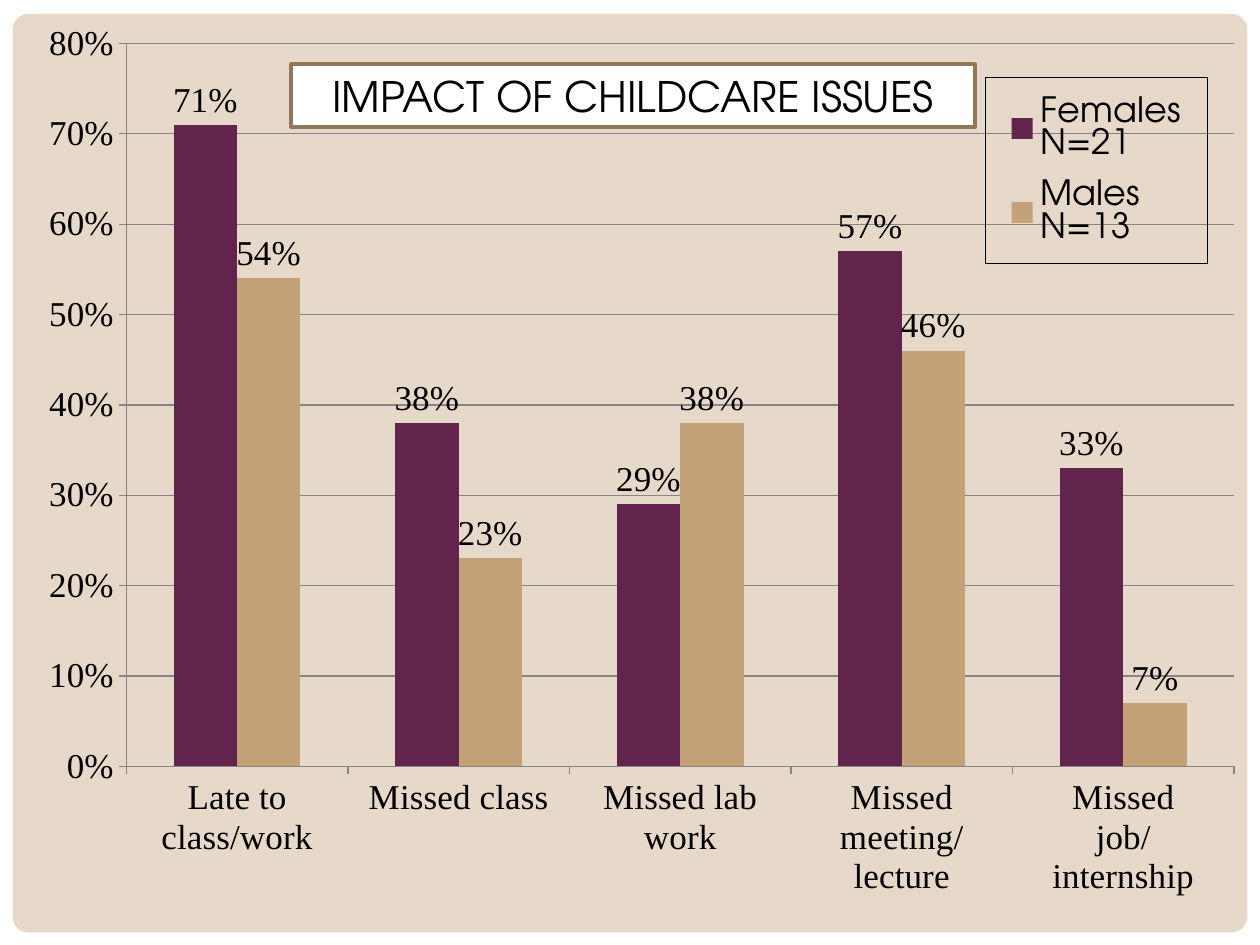
from lxml import etree
from pptx import Presentation
from pptx import util as u
from pptx.chart.data import CategoryChartData
from pptx.dml.color import RGBColor
from pptx.enum import chart as ch, shapes, text
from pptx.oxml import parse_xml
from pptx.oxml.ns import nsdecls, qn

# Content
TITLE = "IMPACT OF CHILDCARE ISSUES"
CATEGORIES = ["Late to class/work", "Missed class", "Missed lab work",
              "Missed meeting/lecture", "Missed job/internship"]
SERIES = [
    ("Females N=21", "62234D", [0.71, 0.38, 0.29, 0.57, 0.33]),
    ("Males N=13", "C3A27A", [0.54, 0.23, 0.38, 0.46, 0.07]),
]
SANS, SERIF = "TeX Gyre Adventor", "Times New Roman"
# Fractions of the chart: left, top, width, height
PLOT_AREA = (0.077, 0.016, 0.923, 0.814)
LEGEND_AREA = (0.793, 0.054, 0.185, 0.21)


def color(value):
    return RGBColor.from_string(value)


def style_font(font, name, size, value="000000"):
    font.name, font.size = name, u.Pt(size)
    font.color.rgb = color(value)


def add_box(page, kind, area, fill):
    box = page.shapes.add_shape(kind, *map(u.Inches, area))
    box.shadow.inherit = False
    box.fill.solid()
    box.fill.fore_color.rgb = color(fill)
    return box


def layout_xml(area, inner=False):
    target = '<c:layoutTarget val="inner"/>' if inner else ""
    modes = '<c:xMode val="edge"/><c:yMode val="edge"/>'
    sizes = "".join(f'<c:{tag} val="{part}"/>' for tag, part in zip("xywh", area))
    return parse_xml(f'<c:layout {nsdecls("c")}><c:manualLayout>{target}{modes}'
                     f'{sizes}</c:manualLayout></c:layout>')


def style_axis(axis):
    style_font(axis.tick_labels.font, SERIF, 20)
    axis.major_tick_mark = ch.XL_TICK_MARK.OUTSIDE
    axis.minor_tick_mark = ch.XL_TICK_MARK.NONE
    axis.format.line.color.rgb = color("868686")
    axis.format.line.width = u.Pt(0.75)


deck = Presentation()
deck.slide_width, deck.slide_height = u.Inches(10), u.Inches(7.5)
page = deck.slides.add_slide(deck.slide_layouts[6])

# Rounded backdrop, 40% opaque
panel = add_box(page, shapes.MSO_SHAPE.ROUNDED_RECTANGLE, (0.1, 0.11, 9.8, 7.29), "C3A27A")
panel.adjustments[0] = 0.017
panel.line.fill.background()
tint = panel.fill._xPr.find(qn("a:solidFill"))[0]
etree.SubElement(tint, qn("a:alpha")).set("val", "40000")

# Column chart
data = CategoryChartData(number_format="0%")
data.categories = CATEGORIES
for name, _, values in SERIES:
    data.add_series(name, values)
chart = page.shapes.add_chart(ch.XL_CHART_TYPE.COLUMN_CLUSTERED,
                              *map(u.Inches, (0.27, 0.19, 9.53, 7.09)), data).chart
chart.has_title = False
style_font(chart.font, SANS, 10)
plot = chart.plots[0]
plot.gap_width, plot.overlap, plot.vary_by_categories = 150, 0, False
for series, (_, fill, _) in zip(plot.series, SERIES):
    series.format.fill.solid()
    series.format.fill.fore_color.rgb = color(fill)
    labels = series.data_labels
    labels.show_value = True
    labels.number_format, labels.number_format_is_linked = "0%", False
    labels.position = ch.XL_LABEL_POSITION.OUTSIDE_END
    style_font(labels.font, SERIF, 20)

# Axes
style_axis(chart.category_axis)
scale = chart.value_axis
style_axis(scale)
scale.minimum_scale, scale.maximum_scale, scale.major_unit = 0, 0.8, 0.1
scale.tick_labels.number_format = "0%"
scale.tick_labels.number_format_is_linked = False
scale.has_major_gridlines = True
scale.major_gridlines.format.line.color.rgb = color("868686")
scale.major_gridlines.format.line.width = u.Pt(0.75)

# Plot position
plot_area = chart._chartSpace.find(".//" + qn("c:plotArea"))
for old in plot_area.findall(qn("c:layout")):
    plot_area.remove(old)
plot_area.insert(0, layout_xml(PLOT_AREA, inner=True))

# Legend, outlined and laid over the plot
chart.has_legend = True
legend = chart.legend
legend.position = ch.XL_LEGEND_POSITION.RIGHT
legend.include_in_layout = True
style_font(legend.font, SANS, 20)
element = legend._element
for old in element.findall(qn("c:layout")):
    element.remove(old)
element.find(qn("c:legendPos")).addnext(layout_xml(LEGEND_AREA))
element.find(qn("c:overlay")).addnext(parse_xml(
    f'<c:spPr {nsdecls("c", "a")}><a:noFill/><a:ln w="9525"><a:solidFill>'
    '<a:srgbClr val="000000"/></a:solidFill></a:ln></c:spPr>'))

# Title box
title = add_box(page, shapes.MSO_SHAPE.RECTANGLE, (2.31, 0.51, 5.43, 0.5), "FFFFFF")
title.line.color.rgb = color("90785A")
title.line.width = u.Pt(2)
frame = title.text_frame
frame.word_wrap = True
frame.auto_size = text.MSO_AUTO_SIZE.SHAPE_TO_FIT_TEXT
para = frame.paragraphs[0]
para.alignment = text.PP_ALIGN.CENTER
span = para.add_run()
span.text = TITLE
style_font(span.font, SANS, 24)

deck.save("out.pptx")
